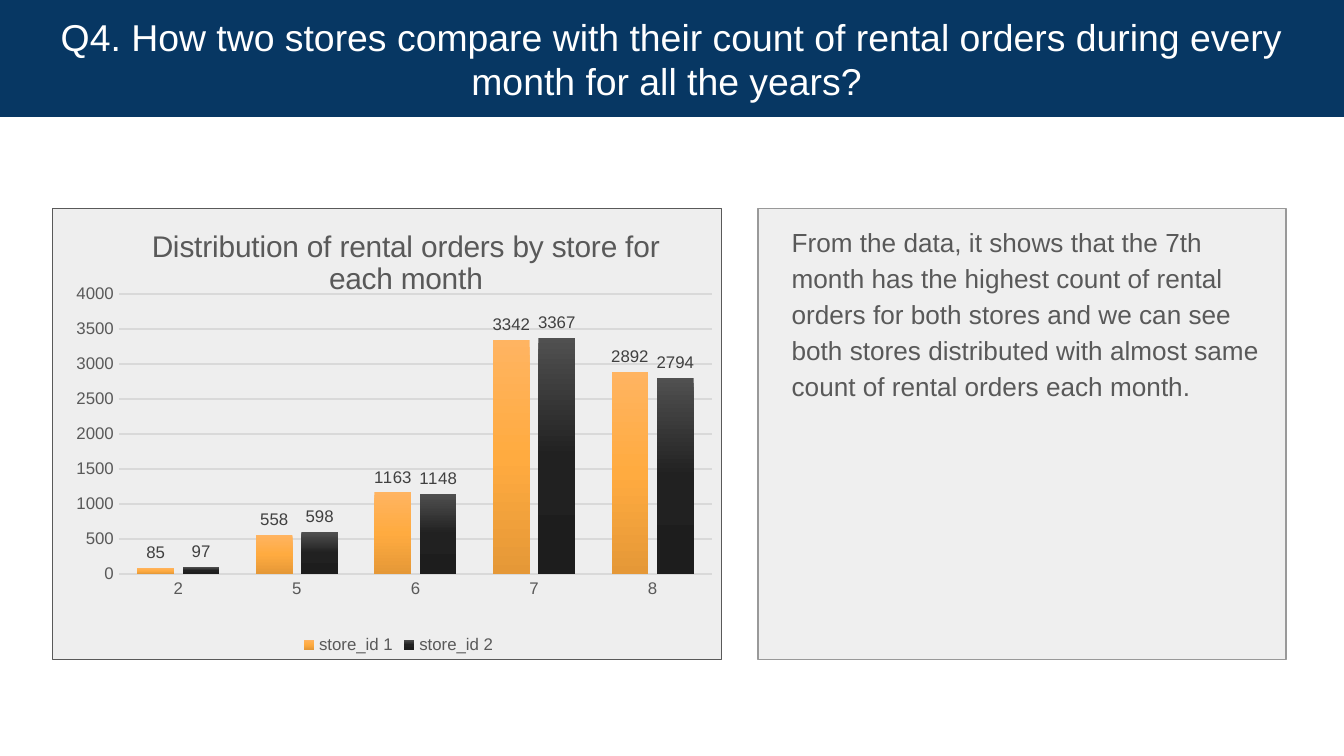
from lxml import etree
from pptx import Presentation
from pptx.chart.data import CategoryChartData
from pptx.dml.color import RGBColor
from pptx.enum.chart import XL_CHART_TYPE, XL_LABEL_POSITION, XL_LEGEND_POSITION, XL_TICK_MARK
from pptx.enum.shapes import MSO_SHAPE
from pptx.enum.text import MSO_ANCHOR, MSO_AUTO_SIZE, PP_ALIGN
from pptx.oxml import parse_xml
from pptx.oxml.ns import nsdecls, qn
from pptx.util import Inches, Pt

COLUMN = XL_CHART_TYPE.COLUMN_CLUSTERED
OUTSIDE_END = XL_LABEL_POSITION.OUTSIDE_END
BOTTOM = XL_LEGEND_POSITION.BOTTOM
NO_TICK = XL_TICK_MARK.NONE
RECT = MSO_SHAPE.RECTANGLE
MIDDLE, TOP = MSO_ANCHOR.MIDDLE, MSO_ANCHOR.TOP
CENTER, LEFT = PP_ALIGN.CENTER, PP_ALIGN.LEFT
NO_AUTOFIT = MSO_AUTO_SIZE.NONE

WHITE = RGBColor(0xFF, 0xFF, 0xFF)
BLACK = RGBColor(0, 0, 0)
NAVY = RGBColor(0x07, 0x37, 0x63)
PANEL = RGBColor(0xEE, 0xEE, 0xEE)
BODY_FILL = RGBColor(0xEF, 0xEF, 0xEF)
BODY_LINE = RGBColor(0x99, 0x99, 0x99)
GRAY = RGBColor(0x59, 0x59, 0x59)
LABEL = RGBColor(0x40, 0x40, 0x40)
GRID = RGBColor(0xD9, 0xD9, 0xD9)
ORANGES = [RGBColor(0xFF, 0xB4, 0x61), RGBColor(0xFF, 0xAB, 0x40), RGBColor(0xE5, 0x98, 0x37)]
BLACKS = [RGBColor(0x50, 0x50, 0x50), RGBColor(0x21, 0x21, 0x21), RGBColor(0x1D, 0x1D, 0x1D)]

SLIDE_W = 10
SLIDE_H = SLIDE_W * 9 / 16
ROW_TOP, ROW_H = 1.55, 3.36
TITLE = "Q4. How two stores compare with their count of rental orders during every month for all the years? "
FINDING = ("From the data, it shows that the 7th month has the highest count of rental orders "
           "for both stores and we can see both stores distributed with almost same count of "
           "rental orders each month.")
CHART_TITLE = "Distribution of rental orders by store for each month"
MONTHS = ["2", "5", "6", "7", "8"]
STORES = [
    ("store_id 1", [85, 558, 1163, 3342, 2892], ORANGES),
    ("store_id 2", [97, 598, 1148, 3367, 2794], BLACKS),
]


def set_font(font, size, color):
    font.name = "Arial"
    font.size = Pt(size)
    font.bold = False
    font.color.rgb = color


def place(sp, left, top, width, height):
    sp.left, sp.top = Inches(left), Inches(top)
    sp.width, sp.height = Inches(width), Inches(height)


def paint(sp, fill, line=None):
    sp.fill.solid()
    sp.fill.fore_color.rgb = fill
    if line is None:
        sp.line.fill.background()
    else:
        sp.line.color.rgb = line
        sp.line.width = Pt(0.75)


def fill_text(sp, text, size, color, align, anchor):
    tf = sp.text_frame
    tf.word_wrap = True
    tf.auto_size = NO_AUTOFIT
    tf.vertical_anchor = anchor
    tf.margin_left = tf.margin_right = tf.margin_top = tf.margin_bottom = Inches(0.1)
    tf.text = text
    p = tf.paragraphs[0]
    p.alignment = align
    p.space_before = Pt(0)
    set_font(p.font, size, color)
    return p


def add_title(slide):
    sp = slide.shapes.title
    place(sp, 0, 0, SLIDE_W, 0.87)
    paint(sp, NAVY)
    fill_text(sp, TITLE, 20, WHITE, CENTER, MIDDLE)


def add_finding(slide):
    sp = slide.placeholders[1]
    place(sp, 5.64, ROW_TOP, 3.93, ROW_H)
    paint(sp, BODY_FILL, BODY_LINE)
    p = fill_text(sp, FINDING, 14, GRAY, LEFT, TOP)
    p.line_spacing = 1.15
    pPr = p._p.get_or_add_pPr()
    pPr.set("marL", str(Inches(0.15)))
    pPr.set("indent", "0")
    pPr.insert_element_before(parse_xml(f"<a:buNone {nsdecls('a')}/>"), "a:tabLst", "a:defRPr", "a:extLst")


def add_panel(slide):
    sp = slide.shapes.add_shape(RECT, Inches(0.39), Inches(ROW_TOP), Inches(4.98), Inches(ROW_H))
    sp.shadow.inherit = False
    paint(sp, PANEL, GRAY)


def set_layout(parent, **values):
    layout = parent.find(qn("c:layout"))
    if layout is None:
        layout = etree.Element(qn("c:layout"))
        parent.insert(0, layout)
    manual = etree.SubElement(layout, qn("c:manualLayout"))
    for name, value in values.items():
        etree.SubElement(manual, qn(f"c:{name}")).set("val", str(value))


def set_gradient(series, colors):
    step = 100000 // (len(colors) - 1)
    stops = "".join(f'<a:gs pos="{i * step}"><a:srgbClr val="{c}"/></a:gs>' for i, c in enumerate(colors))
    grad = parse_xml(f"<a:gradFill {nsdecls('a')}><a:gsLst>{stops}</a:gsLst>"
                     '<a:lin ang="5400000" scaled="0"/></a:gradFill>')
    series._element.get_or_add_spPr().insert(0, grad)


def format_axis(axis):
    axis.major_tick_mark = axis.minor_tick_mark = NO_TICK
    set_font(axis.tick_labels.font, 9, GRAY)


def format_axes(chart):
    cat, val = chart.category_axis, chart.value_axis
    format_axis(cat)
    format_axis(val)
    cat.format.line.color.rgb = GRID
    cat.format.line.width = Pt(1)
    val.minimum_scale, val.maximum_scale, val.major_unit = 0, 4000, 500
    val.format.line.fill.background()
    val.has_major_gridlines = True
    val.major_gridlines.format.line.color.rgb = GRID
    val.major_gridlines.format.line.width = Pt(0.75)


def format_series(series, colors):
    series.invert_if_negative = False
    set_gradient(series, colors)
    labels = series.data_labels
    labels.show_value = True
    labels.position = OUTSIDE_END
    set_font(labels.font, 9, LABEL)


def add_chart(slide):
    data = CategoryChartData()
    data.categories = MONTHS
    for name, counts, _ in STORES:
        data.add_series(name, counts)
    chart = slide.shapes.add_chart(COLUMN, Inches(0.43), Inches(ROW_TOP), Inches(5.07), Inches(ROW_H), data).chart
    set_font(chart.font, 10, BLACK)
    chart.has_title = True
    tf = chart.chart_title.text_frame
    tf.text = CHART_TITLE
    set_font(tf.paragraphs[0].font, 16, GRAY)
    set_layout(chart.chart_title._element, xMode="edge", yMode="edge", x=0.13, y=0.03)
    chart.has_legend = True
    chart.legend.position = BOTTOM
    chart.legend.include_in_layout = False
    set_font(chart.legend.font, 9, GRAY)
    format_axes(chart)
    plot = chart.plots[0]
    plot.vary_by_categories = False
    plot.gap_width, plot.overlap = 100, -24
    for series, (_, _, colors) in zip(plot.series, STORES):
        format_series(series, colors)
    set_layout(chart._chartSpace.chart.plotArea, layoutTarget="inner", xMode="edge", yMode="edge",
               x=0.09, y=0.19, w=0.87, h=0.62)


def main():
    prs = Presentation()
    prs.slide_width, prs.slide_height = Inches(SLIDE_W), Inches(SLIDE_H)
    slide = prs.slides.add_slide(prs.slide_layouts[1])
    add_finding(slide)
    add_panel(slide)
    add_title(slide)
    add_chart(slide)
    prs.save("out.pptx")


if __name__ == "__main__":
    main()
